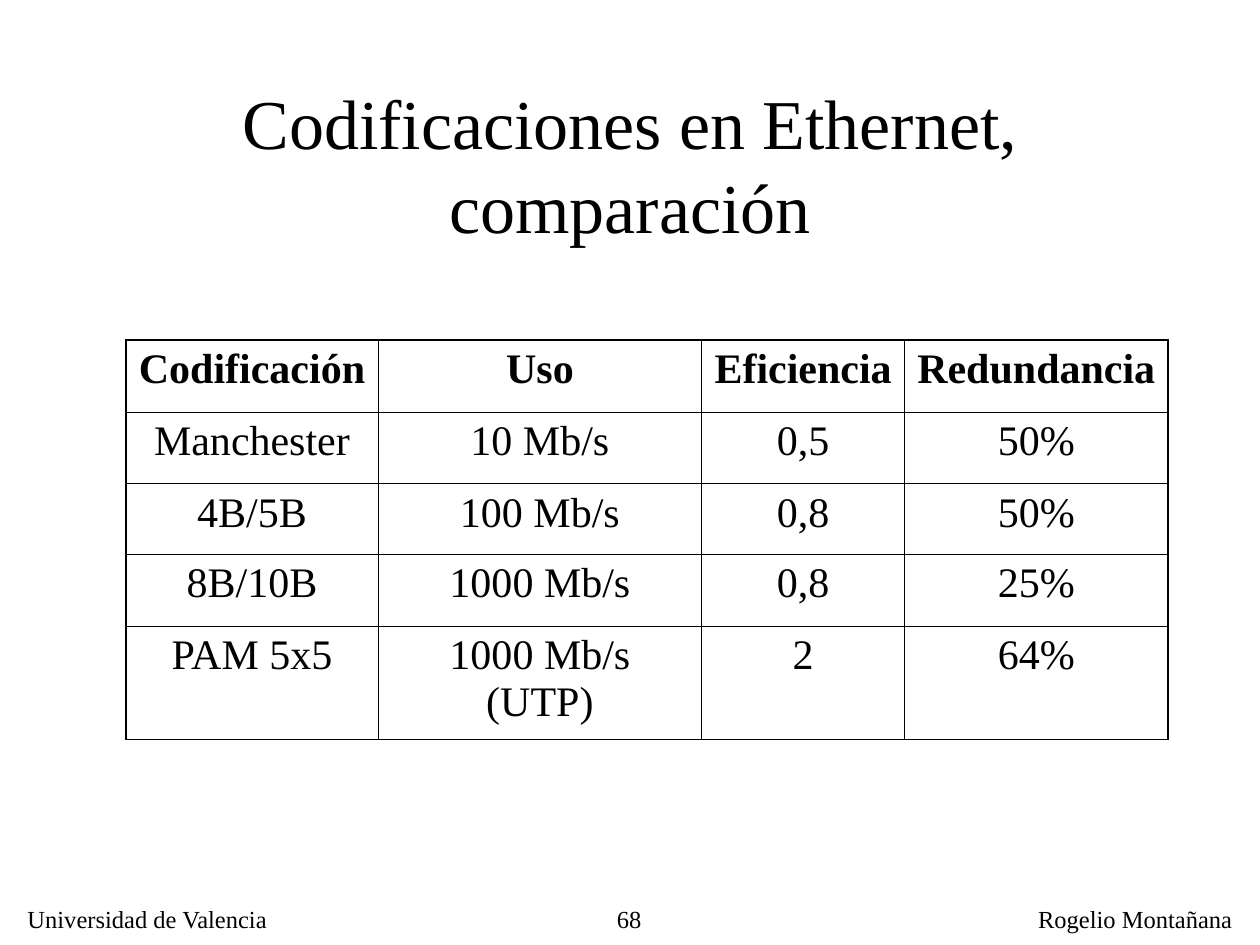
from collections import namedtuple

from lxml.etree import SubElement
from pptx import Presentation
from pptx.dml.color import RGBColor
from pptx.enum.text import MSO_ANCHOR as Anchor, PP_ALIGN as Align
from pptx.oxml.ns import qn
from pptx.util import Inches, Pt

Box = namedtuple("Box", "left top width height")

PAGE = Box(0, 0, 10, 7.5)
COLORS = {"ink": "000000", "paper": "FFFFFF"}
FONT = "Times New Roman"
THIN, THICK = 0.45, 1.08

HEADINGS = ["Codificación", "Uso", "Eficiencia", "Redundancia"]
ENCODINGS = [
    ["Manchester", "10 Mb/s", "0,5", "50%"],
    ["4B/5B", "100 Mb/s", "0,8", "50%"],
    ["8B/10B", "1000 Mb/s", "0,8", "25%"],
    ["PAM 5x5", "1000 Mb/s (UTP)", "2", "64%"],
]
COLUMN_WEIGHTS = [2, 2.57, 1.61, 2.09]
ROW_WEIGHTS = [0.57, 0.57, 0.56, 0.57, 0.62]


def part(box, left, top, width, height):
    """Return the area given as shares of box."""
    return Box(box.left + left * box.width, box.top + top * box.height,
               width * box.width, height * box.height)


def write(frame, text, size, align=Align.LEFT, bold=False, before=0,
          anchor=Anchor.TOP, wrap=True):
    frame.word_wrap = wrap
    frame.vertical_anchor = anchor
    paragraph = frame.paragraphs[0]
    paragraph.alignment = align
    paragraph.space_before = Pt(before)
    run = paragraph.add_run()
    run.text = text
    run.font.name = FONT
    run.font.size = Pt(size)
    run.font.bold = bold
    run.font.color.rgb = RGBColor.from_string(COLORS["ink"])


def add_label(slide, box, text, size, **style):
    label = slide.shapes.add_textbox(*map(Inches, box))
    write(label.text_frame, text, size, **style)


def add_title(slide, box):
    add_label(slide, box, "Codificaciones en Ethernet, comparación", 40,
              align=Align.CENTER, anchor=Anchor.MIDDLE)


def set_borders(cell, widths):
    """Draw the left, right, top and bottom borders, in points."""
    properties = cell._tc.get_or_add_tcPr()
    for side, width in zip("LRTB", widths):
        line = SubElement(properties, qn(f"a:ln{side}"), w=str(Pt(width)))
        fill = SubElement(line, qn("a:solidFill"))
        SubElement(fill, qn("a:srgbClr"), val=COLORS["ink"])


def add_comparison(slide, box):
    rows = [HEADINGS] + ENCODINGS
    last_row, last_column = len(rows) - 1, len(HEADINGS) - 1
    table = slide.shapes.add_table(
        len(rows), len(HEADINGS), *map(Inches, box)).table
    table.first_row = table.horz_banding = False
    for column, weight in zip(table.columns, COLUMN_WEIGHTS):
        column.width = Inches(box.width * weight / sum(COLUMN_WEIGHTS))
    for row, weight in zip(table.rows, ROW_WEIGHTS):
        row.height = Inches(box.height * weight / sum(ROW_WEIGHTS))

    for r, values in enumerate(rows):
        for c, value in enumerate(values):
            cell = table.cell(r, c)
            outer = (c == 0, c == last_column, r == 0, r == last_row)
            set_borders(cell, [THICK if edge else THIN for edge in outer])
            cell.fill.background()
            write(cell.text_frame, value, 24, align=Align.CENTER,
                  bold=r == 0, before=6)


def add_footer(slide, box):
    add_label(slide, part(box, 0.012, 0, 0.213, 1),
              "Universidad de Valencia", 14, wrap=False)
    add_label(slide, part(box, 0.413, 0, 0.106, 1), "68", 14,
              align=Align.RIGHT)
    add_label(slide, part(box, 0.814, 0, 0.174, 1),
              "Rogelio Montañana", 14, wrap=False)


def main():
    deck = Presentation()
    deck.slide_width, deck.slide_height = Inches(PAGE.width), Inches(PAGE.height)
    slide = deck.slides.add_slide(deck.slide_layouts[6])
    slide.background.fill.solid()
    slide.background.fill.fore_color.rgb = RGBColor.from_string(COLORS["paper"])

    add_footer(slide, part(PAGE, 0, 0.95, 1, 0.045))
    add_title(slide, part(PAGE, 0.075, 0.09, 0.85, 0.167))
    add_comparison(slide, part(PAGE, 0.1, 0.36, 0.827, 0.385))
    deck.save("out.pptx")


if __name__ == "__main__":
    main()
